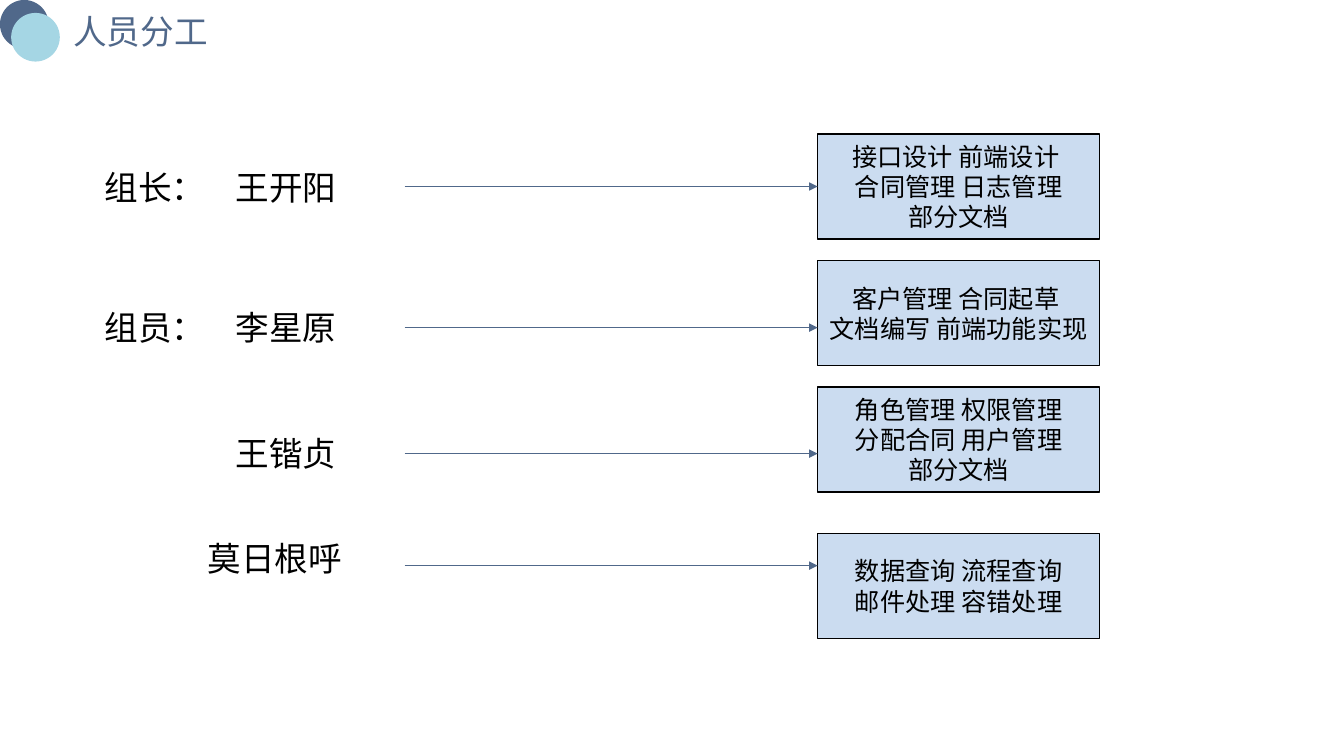
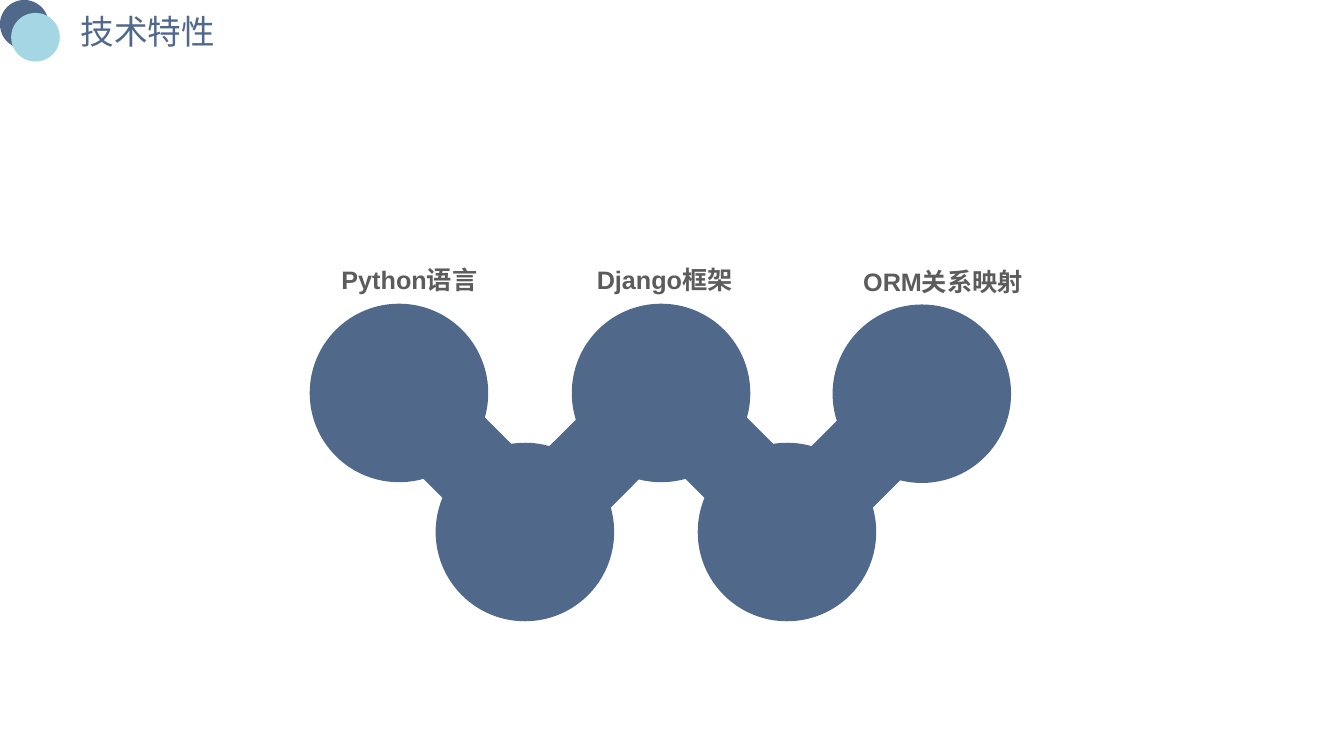
import math

import pptx
import pptx.util
import pptx.dml.color
import pptx.enum.shapes
import pptx.enum.text
from lxml import etree

Pt = pptx.util.Pt
KIND = pptx.enum.shapes.MSO_SHAPE
ALIGN = pptx.enum.text.PP_ALIGN
ANCHOR = pptx.enum.text.MSO_ANCHOR
qn = pptx.oxml.ns.qn

# Shared look
NAVY, AQUA, PALE = "50688A", "A5D6E4", "CBDCF0"
BLACK, GRAY = "000000", "5C5C5C"
LATIN, HAN = "Arial", "Noto Sans CJK SC"
DOT = 34.75

# Staff slide: label, tab, label top, arrow height, box top, tasks
# (wide gaps between tasks are en spaces)
STAFF = [
    ("组长：\t王开阳", 93.5, 115.5, 133.25, 95.75,
     ["接口设计 前端设计 ", "合同管理 日志管理", "部分文档"]),
    ("组员：\t李星原", 93.5, 216, 234, 186.25,
     ["客户管理 合同起草 ", "文档编写 前端功能实现"]),
    ("\t王锴贞", 93.5, 306, 324, 276.5,
     ["角色管理 权限管理", "分配合同 用户管理", "部分文档"]),
    ("\t莫日根呼", 73.5, 381, 404, 381,
     ["数据查询 流程查询", "邮件处理 容错处理"]),
]
START, BOX_X, BOX_W, BOX_H = 289, 584, 201.5, 75

# Feature slide: chain of discs
DISC, STEP, TURN = 127.5, 187.2, 45
LABELS = [
    ("Python语言", 231.5, 185, 116.5, ALIGN.RIGHT),
    ("Django框架", 416, 185, 117.5, ALIGN.CENTER),
    ("ORM关系映射", 609.5, 186.5, 134, ALIGN.LEFT),
]


def paint(target, code):
    """Give a fill or a font one colour."""
    if hasattr(target, "solid"):
        target.solid()
        target = target.fore_color
    else:
        target = target.color
    target.rgb = pptx.dml.color.RGBColor.from_string(code)


def write(frame, lines, size, code, face, align=ALIGN.LEFT, bold=False):
    frame.text = "\n".join(lines)
    for para in frame.paragraphs:
        para.alignment = align
        for run in para.runs:
            run.font.size = Pt(size)
            run.font.name = face
            run.font.bold = bold
            paint(run.font, code)


def label(slide, text, x, y, w, size, code, face, **style):
    box = slide.shapes.add_textbox(Pt(x), Pt(y), Pt(w), Pt(size * 1.5))
    write(box.text_frame, [text], size, code, face, **style)
    return box.text_frame


def add_tab(para, pos):
    props = para._p.get_or_add_pPr()
    tabs = etree.SubElement(props, qn("a:tabLst"))
    etree.SubElement(tabs, qn("a:tab"), pos=str(Pt(pos)), algn="l")


def plain(shape, code):
    """Flat fill, no outline, no shadow."""
    shape.shadow.inherit = False
    paint(shape.fill, code)
    shape.line.fill.background()


def disc(slide, x, y, size, code):
    plain(slide.shapes.add_shape(KIND.OVAL, Pt(x), Pt(y), Pt(size), Pt(size)),
          code)


def task_box(slide, y, lines):
    box = slide.shapes.add_shape(KIND.RECTANGLE, Pt(BOX_X), Pt(y),
                                 Pt(BOX_W), Pt(BOX_H))
    box.shadow.inherit = False
    paint(box.fill, PALE)
    paint(box.line.fill, BLACK)
    box.line.width = Pt(1)
    box.text_frame.vertical_anchor = ANCHOR.MIDDLE
    write(box.text_frame, lines, 18, BLACK, HAN, ALIGN.CENTER)
    return box


def arrow(slide, y, box):
    line = slide.shapes.add_connector(
        pptx.enum.shapes.MSO_CONNECTOR.STRAIGHT,
        Pt(START), Pt(y), Pt(BOX_X), Pt(y))
    if Pt(y) == box.top + box.height // 2:
        line.end_connect(box, 1)
    paint(line.line.fill, NAVY)
    line.line.width = Pt(0.5)
    etree.SubElement(line.line._get_or_add_ln(), qn("a:tailEnd"),
                     type="triangle")
    etree.SubElement(line._element.spPr, qn("a:effectLst"))


def bend(side, start, end, rad):
    """Turn a straight side into the arc between two angles."""
    pull = 4 / 3 * math.tan((end - start) / 4)
    ends = ((start, pull), (end, -pull), (end, 0))
    curve = etree.Element(qn("a:cubicBezTo"))
    for angle, k in ends:
        x = rad * (1 + math.cos(angle) - k * math.sin(angle))
        y = rad * (1 + math.sin(angle) + k * math.cos(angle))
        etree.SubElement(curve, qn("a:pt"), x=str(Pt(x)), y=str(Pt(y)))
    side.getparent().replace(side, curve)


def link(slide, x, y, turn):
    """A disc with a pointed neck on its right, then turned."""
    rad, half, edge, tip = DISC / 2, 31, 150, 173.5
    gap = math.asin(half / rad)
    turns = [gap, math.pi / 2, math.pi, math.pi * 1.5, math.pi * 2 - gap]
    points = [(rad + rad * math.cos(a), rad + rad * math.sin(a))
              for a in turns]
    points += [(edge, rad - half), (tip, rad), (edge, rad + half)]
    points = [(Pt(px), Pt(py)) for px, py in points]
    draft = slide.shapes.build_freeform(*points[0])
    draft.add_line_segments(points[1:], close=True)
    shape = draft.convert_to_shape(Pt(x), Pt(y))
    sides = list(shape._element.iter(qn("a:lnTo")))
    for side, start, end in zip(sides, turns, turns[1:]):
        bend(side, start, end, rad)
    plain(shape, NAVY)
    shape.rotation = turn


def new_slide(deck, title, x):
    """Blank page with the shared title and corner discs."""
    slide = deck.slides.add_slide(deck.slide_layouts[5])
    head = slide.shapes.title
    head.left, head.top, head.width, head.height = (
        Pt(x), Pt(4.5), Pt(218), Pt(36))
    head.text_frame.vertical_anchor = ANCHOR.TOP
    head.text_frame.auto_size = pptx.enum.text.MSO_AUTO_SIZE.NONE
    write(head.text_frame, [title], 24, NAVY, LATIN)
    disc(slide, 0, 0, DOT, NAVY)
    disc(slide, 8, 9.25, DOT, AQUA)
    return slide


def staff(deck):
    slide = new_slide(deck, "人员分工", 45.25)
    for text, tab, top, mid, box_y, tasks in STAFF:
        frame = label(slide, text, 67.75, top, 210, 24, BLACK, HAN)
        frame.word_wrap = True
        add_tab(frame.paragraphs[0], tab)
        arrow(slide, mid, task_box(slide, box_y, tasks))


def features(deck):
    slide = new_slide(deck, "技术特性", 50.5)
    for i in range(2):
        link(slide, 214.5 + i * STEP, 233.25, TURN)
        link(slide, 304.5 + i * STEP, 300, 360 - TURN)
    disc(slide, 594.75, 217.5, DISC, NAVY)
    for text, x, y, w, align in LABELS:
        label(slide, text, x, y, w, 18, GRAY, LATIN, align=align, bold=True)


def main():
    deck = pptx.Presentation()
    deck.slide_width, deck.slide_height = Pt(960), Pt(540)
    staff(deck)
    features(deck)
    deck.save("out.pptx")


if __name__ == "__main__":
    main()
